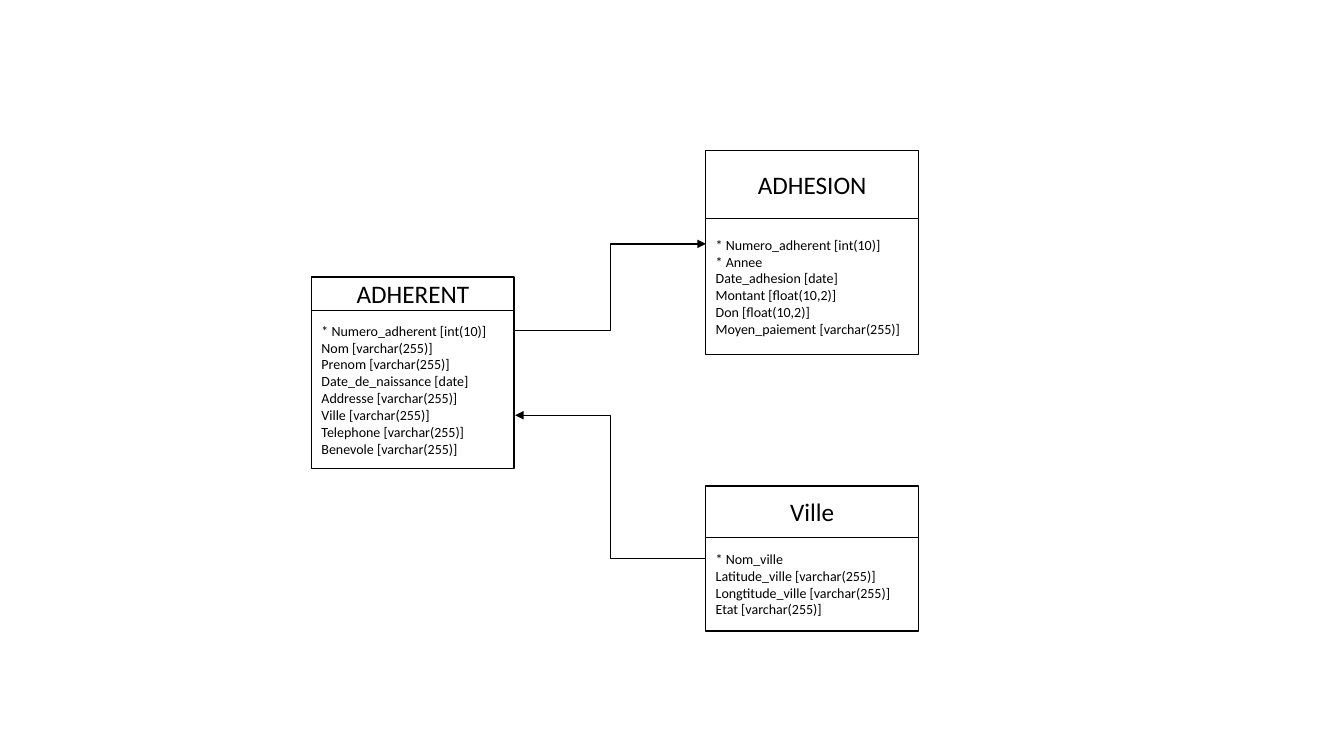
import pptx
import pptx.util
import pptx.dml.color
import pptx.enum.shapes
import pptx.enum.text
import pptx.oxml
import pptx.oxml.ns

Inches, Pt = pptx.util.Inches, pptx.util.Pt
RGB = pptx.dml.color.RGBColor
ALIGN = pptx.enum.text.PP_ALIGN
BLACK = RGB(0, 0, 0)
WHITE = RGB(255, 255, 255)

# Tables: name, left, top, width, head height, body height, fields
TABLES = [
    ("ADHERENT", 3.09, 2.75, 2.01, 0.33, 1.57, [
        "* Numero_adherent [int(10)]",
        "Nom [varchar(255)]",
        "Prenom [varchar(255)]",
        "Date_de_naissance [date]",
        "Addresse [varchar(255)]",
        "Ville [varchar(255)]",
        "Telephone [varchar(255)]",
        "Benevole [varchar(255)]",
    ]),
    ("Ville", 7, 4.82, 2.11, 0.51, 0.93, [
        "* Nom_ville",
        "Latitude_ville [varchar(255)]",
        "Longtitude_ville [varchar(255)]",
        "Etat [varchar(255)]",
    ]),
    ("ADHESION", 7, 1.49, 2.11, 0.68, 1.35, [
        "* Numero_adherent [int(10)]",
        "* Annee",
        "Date_adhesion [date]",
        "Montant [float(10,2)]",
        "Don [float(10,2)]",
        "Moyen_paiement [varchar(255)]",
    ]),
]

# Links: start point, arrow point
LINKS = [
    ((5.11, 3.28), (7, 2.42)),
    ((7, 5.54), (5.11, 4.12)),
]

# Formats
HEAD = {"size": Pt(18), "name": "Calibri"}
BODY = {"size": Pt(10), "name": "Calibri"}


def draw_line(line):
    line.color.rgb = BLACK
    line.width = Pt(1)


def add_box(slide, place, lines, font, align):
    box = slide.shapes.add_shape(
        pptx.enum.shapes.MSO_SHAPE.RECTANGLE, *map(Inches, place))
    box.shadow.inherit = False
    box.fill.solid()
    box.fill.fore_color.rgb = WHITE
    draw_line(box.line)
    frame = box.text_frame
    frame.word_wrap = True
    frame.vertical_anchor = pptx.enum.text.MSO_ANCHOR.MIDDLE
    frame.text = "\n".join(lines)
    for para in frame.paragraphs:
        para.alignment = align
        for run in para.runs:
            run.font.color.rgb = BLACK
            for key, value in font.items():
                setattr(run.font, key, value)


def add_link(slide, start, end):
    link = slide.shapes.add_connector(
        pptx.enum.shapes.MSO_CONNECTOR.ELBOW, *map(Inches, start + end))
    draw_line(link.line)
    # Arrowhead at the end, no shadow
    make = pptx.oxml.ns.qn
    tail = link.line._get_or_add_ln().makeelement(
        make("a:tailEnd"), {"type": "triangle"})
    link.line._get_or_add_ln().append(tail)
    props = link._element.spPr
    props.append(props.makeelement(make("a:effectLst"), {}))


def main():
    deck = pptx.Presentation()
    deck.slide_width, deck.slide_height = Inches(13.33), Inches(7.5)
    slide = deck.slides.add_slide(deck.slide_layouts[6])

    # Each table is a body box under a head box
    for name, left, top, width, head, body, fields in TABLES:
        add_box(slide, (left, top + head, width, body),
                fields, BODY, ALIGN.LEFT)
        add_box(slide, (left, top, width, head), [name], HEAD, ALIGN.CENTER)

    for start, end in LINKS:
        add_link(slide, start, end)

    deck.save("out.pptx")


if __name__ == "__main__":
    main()
